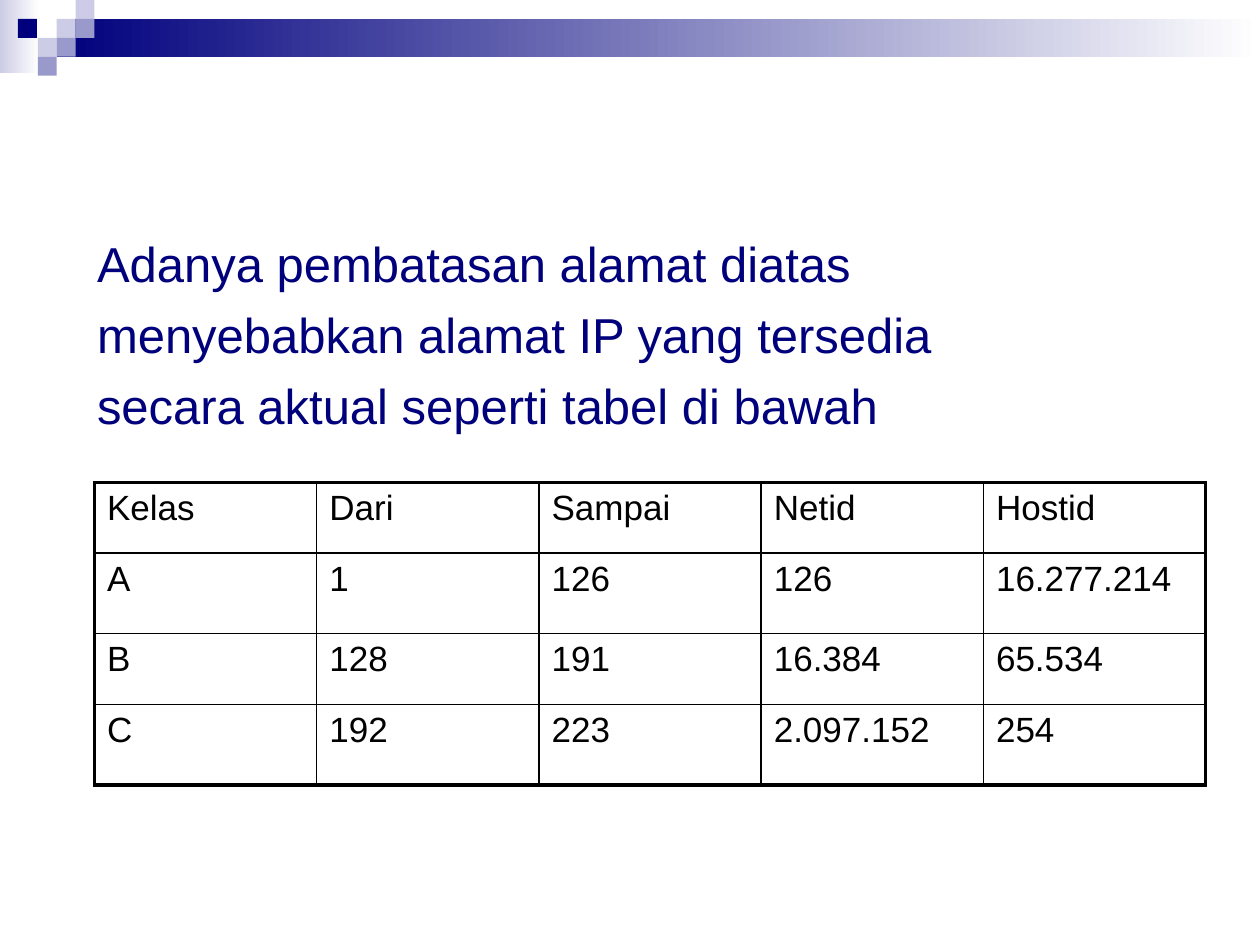
from dataclasses import dataclass

from lxml import etree
from pptx import Presentation
from pptx.dml.color import RGBColor
from pptx.enum.shapes import MSO_SHAPE
from pptx.enum.text import MSO_ANCHOR, MSO_AUTO_SIZE
from pptx.oxml.ns import qn
from pptx.util import Inches, Pt

RECTANGLE = MSO_SHAPE.RECTANGLE
TOP = MSO_ANCHOR.TOP
NO_AUTOFIT = MSO_AUTO_SIZE.NONE

# Content
INTRO = [
    "Adanya pembatasan alamat diatas",
    "menyebabkan alamat IP yang tersedia",
    "secara aktual seperti tabel di bawah",
]
ADDRESS_CLASSES = [
    ("Kelas", "Dari", "Sampai", "Netid", "Hostid"),
    ("A", "1", "126", "126", "16.277.214"),
    ("B", "128", "191", "16.384", "65.534"),
    ("C", "192", "223", "2.097.152", "254"),
]


@dataclass(frozen=True)
class Theme:
    font: str = "Arial"
    navy: str = "00007D"
    lilac: str = "CCCCE6"
    violet: str = "9999CC"
    white: str = "FFFFFF"
    black: str = "000000"
    body_size: float = 28
    body_gap: float = 7
    table_size: float = 20
    outer_line: float = 2.25
    inner_line: float = 1


THEME = Theme()
WIDTH, HEIGHT = 10, 7.5
UNIT = WIDTH * 0.015  # side of one header square

# Header pieces on the square grid: column, row, columns, rows, colours
HEADER = [
    (0, 0, 2.07, 3.87, (THEME.lilac, THEME.white)),
    (3, 1, WIDTH / UNIT - 3, 2, (THEME.navy, THEME.white)),
    (3, 1, 1, 1, (THEME.lilac,)),
    (4, 0, 1, 1, (THEME.lilac,)),
    (4, 1, 1, 1, (THEME.violet,)),
    (2, 2, 1, 1, (THEME.lilac,)),
    (0.95, 1, 1, 1, (THEME.navy,)),
    (3, 2, 1, 1, (THEME.violet,)),
    (2, 3, 1, 1, (THEME.violet,)),
]

BODY = (0.67, 1.8, 8.65, 2.83)
HANGING = 0.38
TABLE_LEFT, TABLE_TOP, TABLE_WIDTH = 0.75, 3.83, 8.82
ROW_HEIGHTS = (0.56, 0.64, 0.56, 0.64)


def add_span(para, text, size, color):
    span = para.add_run()
    span.text = text
    span.font.name = THEME.font
    span.font.size = Pt(size)
    span.font.bold = False
    span.font.color.rgb = RGBColor.from_string(color)


def add_header_piece(page, column, row, columns, rows, colors):
    piece = page.shapes.add_shape(
        RECTANGLE, *(Inches(UNIT * n) for n in (column, row, columns, rows)))
    piece.shadow.inherit = False
    piece.line.fill.background()
    if len(colors) == 1:
        piece.fill.solid()
        piece.fill.fore_color.rgb = RGBColor.from_string(colors[0])
        return
    piece.fill.gradient()
    piece.fill.gradient_angle = 0
    for position, (stop, color) in enumerate(zip(piece.fill.gradient_stops, colors)):
        stop.position = position
        stop.color.rgb = RGBColor.from_string(color)


def add_intro(page):
    body = page.placeholders[1]
    body.left, body.top, body.width, body.height = map(Inches, BODY)
    frame = body.text_frame
    frame.word_wrap = True
    frame.auto_size = NO_AUTOFIT
    frame.vertical_anchor = TOP
    for index, text in enumerate(INTRO):
        para = frame.paragraphs[0] if index == 0 else frame.add_paragraph()
        properties = para._p.get_or_add_pPr()
        properties.set("marL", str(Inches(HANGING)))
        properties.set("indent", str(-Inches(HANGING)))
        etree.SubElement(properties, qn("a:buNone"))
        para.space_before = Pt(THEME.body_gap if index else 0)
        add_span(para, text, THEME.body_size, THEME.navy)


def add_border(cell, side, width):
    line = etree.SubElement(
        cell._tc.get_or_add_tcPr(), qn(f"a:ln{side}"), w=str(Pt(width)))
    fill = etree.SubElement(line, qn("a:solidFill"))
    etree.SubElement(fill, qn("a:srgbClr"), val=THEME.black)


def add_class_table(page):
    row_count, column_count = len(ADDRESS_CLASSES), len(ADDRESS_CLASSES[0])
    table = page.shapes.add_table(
        row_count, column_count, Inches(TABLE_LEFT), Inches(TABLE_TOP),
        Inches(TABLE_WIDTH), Inches(sum(ROW_HEIGHTS))).table
    table.first_row = table.horz_banding = False
    for row, height in zip(table.rows, ROW_HEIGHTS):
        row.height = Inches(height)
    for r, texts in enumerate(ADDRESS_CLASSES):
        for c, text in enumerate(texts):
            cell = table.cell(r, c)
            outer_sides = {"L": c == 0, "R": c == column_count - 1,
                           "T": r == 0, "B": r == row_count - 1}
            for side, outer in outer_sides.items():
                add_border(cell, side, THEME.outer_line if outer else THEME.inner_line)
            cell.fill.background()
            add_span(cell.text_frame.paragraphs[0], text, THEME.table_size, THEME.black)


def main():
    deck = Presentation()
    deck.slide_width, deck.slide_height = Inches(WIDTH), Inches(HEIGHT)
    page = deck.slides.add_slide(deck.slide_layouts[1])

    # The slide has no title
    title = page.shapes.title.element
    title.getparent().remove(title)

    for piece in HEADER:
        add_header_piece(page, *piece)
    add_intro(page)
    add_class_table(page)
    deck.save("out.pptx")


if __name__ == "__main__":
    main()
